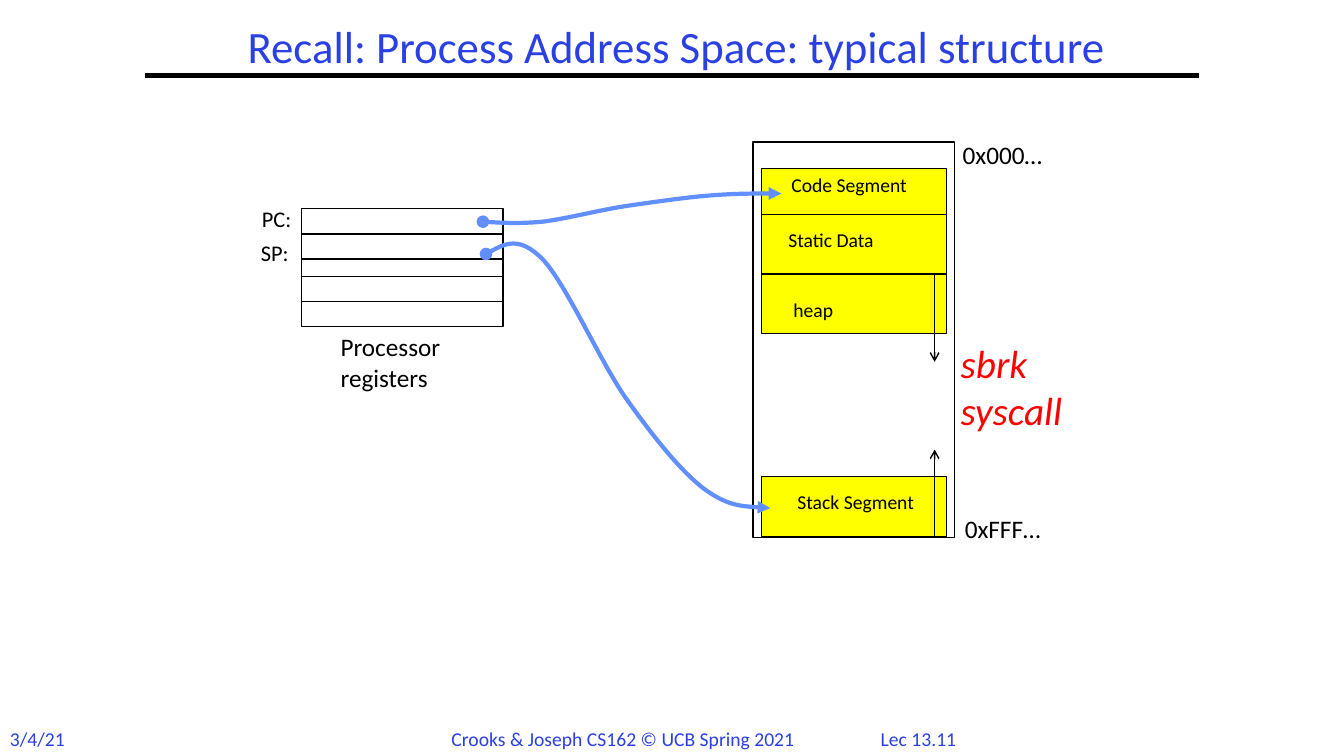
from dataclasses import dataclass
from lxml.etree import SubElement
from pptx import Presentation
from pptx.dml.color import RGBColor
from pptx.enum.shapes import MSO_CONNECTOR, MSO_SHAPE
from pptx.enum.text import MSO_ANCHOR, PP_ALIGN
from pptx.oxml.ns import qn
from pptx.util import Inches, Pt


@dataclass(frozen=True)
class Theme:
    font: str = "Calibri"
    accent: str = "2A40E2"
    ink: str = "000000"
    segment: str = "FFFF00"
    pointer: str = "618FFD"
    alert: str = "FF0000"
    title: int = 32
    callout: int = 28
    label: int = 18
    register: int = 16
    small: int = 14
    thin: int = 1
    thick: int = 3


class SlideBuilder:
    def __init__(self, s, theme):
        self.s, self.theme = s, theme

    def add_lines(self, tf, lines, size, color, align=PP_ALIGN.LEFT, italic=False):
        for i, line in enumerate(lines):
            p = tf.paragraphs[0] if i == 0 else tf.add_paragraph()
            p.alignment = align
            r = p.add_run()
            r.text = line
            r.font.name, r.font.size = self.theme.font, Pt(size)
            r.font.italic = italic
            r.font.color.rgb = RGBColor.from_string(color)

    def title(self, text, x, y, w, h):
        sp = self.s.shapes.title
        sp.left, sp.top, sp.width, sp.height = map(Inches, (x, y, w, h))
        tf = sp.text_frame
        tf.word_wrap = True
        tf.vertical_anchor = MSO_ANCHOR.MIDDLE
        self.add_lines(tf, [text], self.theme.title, self.theme.accent, PP_ALIGN.CENTER)
        tf.paragraphs[0].line_spacing = 0.9

    def text(self, lines, x, y, w, h, size, color=None, **style):
        sp = self.s.shapes.add_textbox(*map(Inches, (x, y, w, h)))
        sp.text_frame.word_wrap = True
        self.add_lines(sp.text_frame, lines, size, color or self.theme.ink, **style)

    def rect(self, x, y, w, h, fill=None):
        sp = self.s.shapes.add_shape(MSO_SHAPE.RECTANGLE, *map(Inches, (x, y, w, h)))
        sp.shadow.inherit = False
        if fill:
            sp.fill.solid()
            sp.fill.fore_color.rgb = RGBColor.from_string(fill)
        else:
            sp.fill.background()
        self.stroke(sp, self.theme.ink, self.theme.thin)

    def stroke(self, sp, color, width, head=None, tail=None):
        sp.line.color.rgb = RGBColor.from_string(color)
        sp.line.width = Pt(width)
        ln = sp._element.spPr.find(qn("a:ln"))
        for tag, kind in (("a:headEnd", head), ("a:tailEnd", tail)):
            if kind:
                SubElement(ln, qn(tag), type=kind)

    def line(self, x1, y1, x2, y2, width, tail=None):
        c = self.s.shapes.add_connector(
            MSO_CONNECTOR.STRAIGHT, *map(Inches, (x1, y1, x2, y2)))
        self.stroke(c, self.theme.ink, width, tail=tail)
        SubElement(c._element.spPr, qn("a:effectLst"))

    def curve(self, points):
        """Start point, then three Bezier points for each stretch."""
        pts = [(Inches(x), Inches(y)) for x, y in points]
        fb = self.s.shapes.build_freeform(*pts[0])
        fb.add_line_segments(pts[1:], close=False)
        sp = fb.convert_to_shape()
        # Regroup the straight segments into cubic ones
        outline = sp._element.xpath(".//a:path")[0]
        segments = outline.findall(qn("a:lnTo"))
        for i in range(0, len(segments), 3):
            bezier = SubElement(outline, qn("a:cubicBezTo"))
            for segment in segments[i:i + 3]:
                bezier.append(segment[0])
                outline.remove(segment)
        sp.shadow.inherit = False
        sp.fill.background()
        self.stroke(sp, self.theme.pointer, self.theme.thick, "oval", "triangle")


def main():
    prs = Presentation()
    prs.slide_width, prs.slide_height = Inches(13.33), Inches(7.5)
    t = Theme()
    b = SlideBuilder(prs.slides.add_slide(prs.slide_layouts[5]), t)

    # Title and rule
    b.line(1.44, 0.75, 11.89, 0.75, t.thick)
    b.title("Recall: Process Address Space: typical structure", 1.75, 0.13, 9.92, 0.71)

    # Footer
    b.text(["Lec 13.11"], 8.5, 7.16, 1.22, 0.33, t.small, t.accent,
           align=PP_ALIGN.CENTER)
    b.text(["3/4/21"], 0, 7.16, 0.8, 0.34, t.small, t.accent)
    b.text(["Crooks & Joseph CS162 © UCB Spring 2021"],
           4.38, 7.16, 3.76, 0.34, t.small, t.accent)

    # Processor registers
    for y, h in ((2.07, 1.17), (2.32, 0.25), (2.74, 0.25)):
        b.rect(2.99, y, 2, h)
    b.text(["PC:"], 2.5, 1.99, 0.58, 0.37, t.register)
    b.text(["SP:"], 2.49, 2.32, 0.56, 0.37, t.register)
    b.text(["Processor", "registers"], 3.28, 3.24, 1.34, 0.71, t.label)

    # Address space
    b.rect(7.47, 1.41, 2, 3.92)
    b.text(["0x000…"], 9.45, 1.33, 1.14, 0.4, t.label)
    b.text(["0xFFF…"], 9.47, 5.04, 1.18, 0.4, t.label)

    # Segments: name, top, height, label left, label top
    for name, y, h, label_x, label_y in (
        ("Code Segment", 1.67, 0.46, 7.75, 1.67),
        ("Static Data", 2.13, 0.59, 7.72, 2.21),
        ("heap", 2.72, 0.59, 7.77, 2.91),
        ("Stack Segment", 4.73, 0.59, 7.81, 4.81),
    ):
        b.rect(7.55, y, 1.84, h, t.segment)
        b.text([name], label_x, label_y, 1.52, 0.34, t.small)

    # Growth of stack and heap
    b.line(9.27, 5.32, 9.27, 4.46, t.thin, "arrow")
    b.line(9.27, 2.72, 9.27, 3.59, t.thin, "arrow")

    # Pointers from PC and SP
    b.curve([(4.79, 2.2), (4.97, 2.21), (5.14, 2.22), (5.38, 2.2),
             (5.62, 2.17), (5.96, 2.08), (6.24, 2.04),
             (6.52, 2), (6.79, 1.96), (7.04, 1.94),
             (7.29, 1.92), (7.52, 1.92), (7.75, 1.92)])
    b.curve([(4.82, 2.52), (4.98, 2.43), (5.15, 2.34), (5.38, 2.57),
             (5.61, 2.81), (5.94, 3.56), (6.2, 3.94),
             (6.47, 4.32), (6.73, 4.65), (6.97, 4.84),
             (7.21, 5.02), (7.43, 5.03), (7.64, 5.04)])

    # System call that moves the heap limit
    b.text(["sbrk syscall"], 9.43, 3.32, 1.6, 1.04, t.callout, t.alert, italic=True)

    prs.save("out.pptx")


if __name__ == "__main__":
    main()
